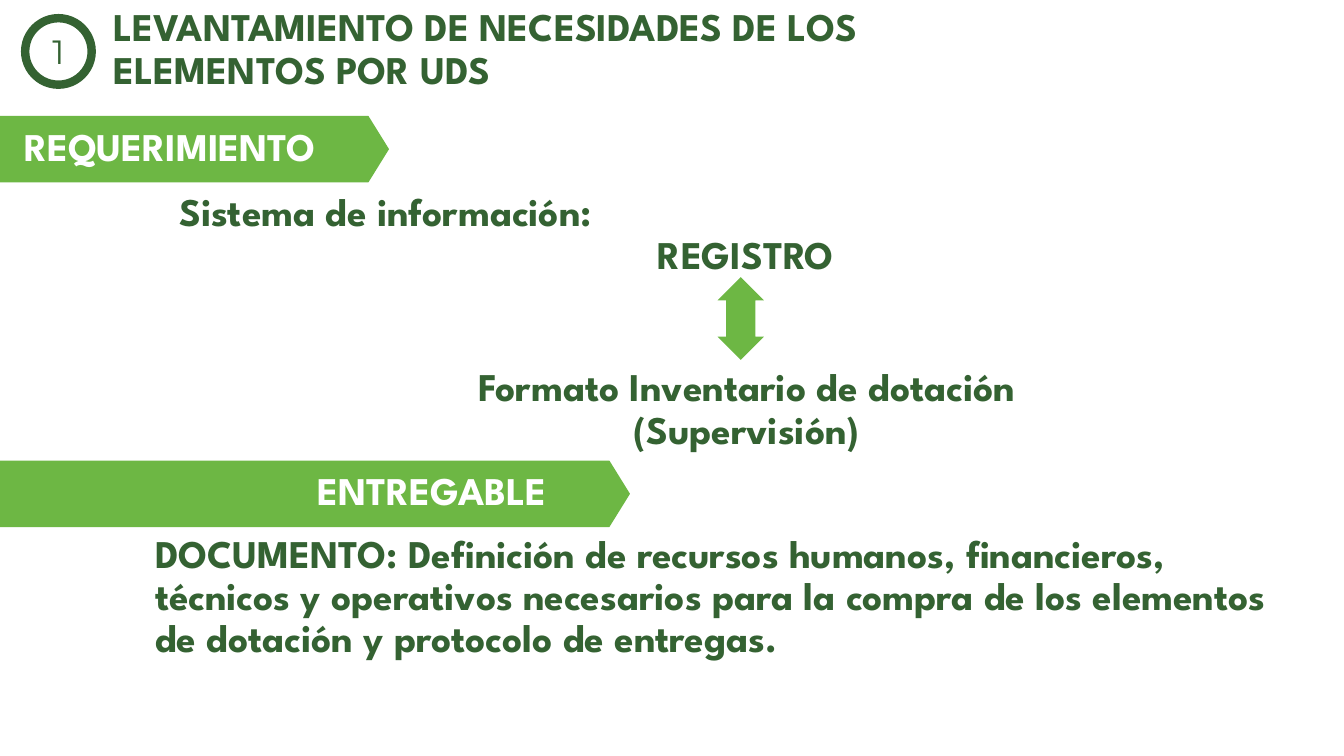
from pptx import Presentation
from pptx.dml.color import RGBColor
from pptx.enum.shapes import MSO_SHAPE
from pptx.enum.text import MSO_ANCHOR, MSO_AUTO_SIZE, PP_ALIGN
from pptx.util import Pt

LEFT, CENTER = PP_ALIGN.LEFT, PP_ALIGN.CENTER
MIDDLE = MSO_ANCHOR.MIDDLE
GROW = MSO_AUTO_SIZE.SHAPE_TO_FIT_TEXT
OVAL, PENTAGON, DOUBLE_ARROW = MSO_SHAPE.OVAL, MSO_SHAPE.PENTAGON, MSO_SHAPE.UP_DOWN_ARROW

THEME = {
    "dark": RGBColor.from_string("346232"),
    "green": RGBColor.from_string("6DB744"),
    "white": RGBColor.from_string("FFFFFF"),
    "body": {"name": "League Spartan", "size": Pt(28), "bold": True},
    "number": {"name": "Montserrat", "size": Pt(24), "bold": False},
}

SLIDE_SIZE = (960, 540)
BANNER_H, LABEL_H = 47.5, 38.2
STEP = ("1", (18, 13, 47.5, 47.5))
TEXTS = [
    ("LEVANTAMIENTO DE NECESIDADES DE LOS ELEMENTOS POR UDS", (74.2, 2.2, 684.7, 68.4), LEFT),
    ("Sistema de información:", (121, 133.9, 684.7, LABEL_H), LEFT),
    ("REGISTRO", (380.9, 164.9, 303.8, LABEL_H), CENTER),
    ("Formato Inventario de dotación (Supervisión)", (324.7, 259.2, 416.9, 68.4), CENTER),
    ("DOCUMENTO: Definición de recursos humanos, financieros, técnicos y operativos "
     "necesarios para la compra de los elementos de dotación y protocolo de entregas.",
     (103.7, 378, 824.4, 129.6), LEFT),
]
BANNERS = [
    {"label": "REQUERIMIENTO", "top": 82.8, "width": 277.9, "label_left": 10.1, "label_width": 268.6},
    {"label": "ENTREGABLE", "top": 329, "width": 450, "label_left": 219.6, "label_width": 243.4},
]
ARROW_BOX = (512.6, 198, 33.1, 59)


def write(tf, text, font, color, align):
    p = tf.paragraphs[0]
    p.alignment = align
    r = p.add_run()
    r.text = text
    for key, value in font.items():
        setattr(r.font, key, value)
    r.font.color.rgb = color
    return p


def add_text(s, text, box, align, color):
    tf = s.shapes.add_textbox(*map(Pt, box)).text_frame
    tf.word_wrap = True
    tf.auto_size = GROW
    write(tf, text, THEME["body"], color, align).line_spacing = 0.9


def add_shape(s, kind, box, fill, adjustments=()):
    sp = s.shapes.add_shape(kind, *map(Pt, box))
    sp.shadow.inherit = False
    sp.fill.solid()
    sp.fill.fore_color.rgb = fill
    sp.line.fill.background()
    for i, value in enumerate(adjustments):
        sp.adjustments[i] = value
    return sp


def add_step(s, number, box):
    sp = add_shape(s, OVAL, box, THEME["white"])
    sp.line.color.rgb = THEME["dark"]
    sp.line.width = Pt(6)
    sp.text_frame.vertical_anchor = MIDDLE
    write(sp.text_frame, number, THEME["number"], THEME["dark"], CENTER)


def add_banner(s, label, top, width, label_left, label_width):
    add_shape(s, PENTAGON, (0, top, width, BANNER_H), THEME["green"], (0.31,))
    label_top = top + (BANNER_H - LABEL_H) / 2
    add_text(s, label, (label_left, label_top, label_width, LABEL_H), LEFT, THEME["white"])


def main():
    prs = Presentation()
    prs.slide_width, prs.slide_height = map(Pt, SLIDE_SIZE)
    s = prs.slides.add_slide(prs.slide_layouts[6])
    add_step(s, *STEP)
    for banner in BANNERS:
        add_banner(s, **banner)
    add_shape(s, DOUBLE_ARROW, ARROW_BOX, THEME["green"], (0.7, 0.63))
    for text, box, align in TEXTS:
        add_text(s, text, box, align, THEME["dark"])
    prs.save("out.pptx")


if __name__ == "__main__":
    main()
